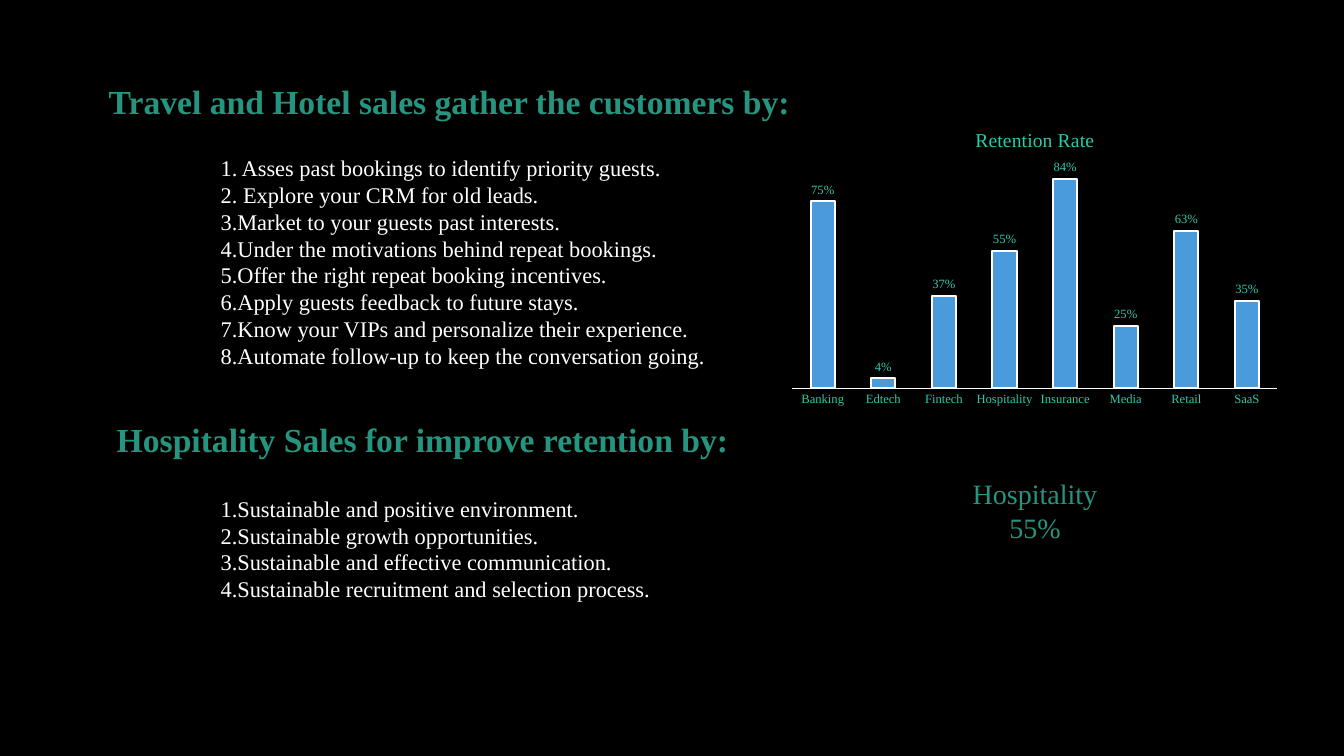
from dataclasses import dataclass

from lxml import etree
from pptx import Presentation
from pptx import util as u
from pptx.chart.data import CategoryChartData
from pptx.dml.color import RGBColor
from pptx.enum import chart as ch
from pptx.enum import text as tx
from pptx.oxml.ns import qn

FONT = "Times New Roman"
COLORS = {
    "background": "000000",
    "body": "FFFFFF",
    "heading": "26957F",
    "chart_text": "32C7A9",
    "bar": "4A9BDC",
}
SLIDE_W, SLIDE_H = u.Inches(13.33), u.Inches(7.5)


@dataclass(frozen=True)
class Area:
    """Columns and rows on a grid of 100 by 100 over the slide."""
    col: float
    row: float
    cols: float
    rows: float

    def emu(self) -> tuple[int, ...]:
        return tuple(int(share * side / 100) for share, side in (
            (self.col, SLIDE_W), (self.row, SLIDE_H),
            (self.cols, SLIDE_W), (self.rows, SLIDE_H)))


@dataclass(frozen=True)
class TextBlock:
    area: Area
    lines: tuple[str, ...]
    size: int
    color: str
    bold: bool = False
    align: tx.PP_ALIGN = tx.PP_ALIGN.LEFT


BLOCKS = (
    TextBlock(Area(15.68, 19.73, 40.4, 30.13), (
        "1. Asses past bookings to identify priority guests.",
        "2. Explore your CRM for old leads.",
        "3.Market to your guests past interests.",
        "4.Under the motivations behind repeat bookings.",
        "5.Offer the right repeat booking incentives.",
        "6.Apply guests feedback to future stays.",
        "7.Know your VIPs and personalize their experience.",
        "8.Automate follow-up to keep the conversation going.",
    ), 16, "body"),
    TextBlock(Area(7.35, 10, 69.6, 6.67),
              ("Travel and Hotel sales gather the customers by:",),
              24, "heading", bold=True),
    TextBlock(Area(7.95, 54.8, 49.5, 6.67),
              ("Hospitality Sales for improve retention by:",),
              24, "heading", bold=True),
    TextBlock(Area(15.68, 64.8, 40.4, 15.73), (
        "1.Sustainable and positive environment.",
        "2.Sustainable growth opportunities.",
        "3.Sustainable and effective communication.",
        "4.Sustainable recruitment and selection process.",
    ), 16, "body"),
    TextBlock(Area(71.2, 62.4, 11.63, 10.27), ("Hospitality", "55%"),
              20, "heading", align=tx.PP_ALIGN.CENTER),
)

CHART_AREA = Area(58.21, 14.93, 37.58, 39.6)
PLOT_LAYOUT = {"x": 0.02, "y": 0.17, "w": 0.96, "h": 0.75}
RETENTION = {
    "Banking": 0.75, "Edtech": 0.04, "Fintech": 0.37, "Hospitality": 0.55,
    "Insurance": 0.84, "Media": 0.25, "Retail": 0.63, "SaaS": 0.35,
}


def rgb(name: str) -> RGBColor:
    return RGBColor.from_string(COLORS[name])


def style_font(font, *, size: int, color: str, bold: bool = False) -> None:
    font.name, font.size, font.bold = FONT, u.Pt(size), bold
    font.color.rgb = rgb(color)


def write(frame, lines: tuple[str, ...], *, size: int, color: str,
          bold: bool = False, align: tx.PP_ALIGN | None = None) -> None:
    for index, line in enumerate(lines):
        paragraph = frame.paragraphs[0] if index == 0 else frame.add_paragraph()
        paragraph.alignment = align
        run = paragraph.add_run()
        run.text = line
        style_font(run.font, size=size, color=color, bold=bold)


def add_block(slide, block: TextBlock) -> None:
    frame = slide.shapes.add_textbox(*block.area.emu()).text_frame
    frame.word_wrap = True
    frame.auto_size = tx.MSO_AUTO_SIZE.SHAPE_TO_FIT_TEXT
    write(frame, block.lines, size=block.size, color=block.color,
          bold=block.bold, align=block.align)


def fix_plot_layout(chart) -> None:
    """Pin the inner plot area to PLOT_LAYOUT, in shares of the chart."""
    plot_area = chart.plots[0]._element.getparent()
    for old in plot_area.findall(qn("c:layout")):
        plot_area.remove(old)
    layout = etree.Element(qn("c:layout"))
    manual = etree.SubElement(layout, qn("c:manualLayout"))
    settings = {"layoutTarget": "inner", "xMode": "edge", "yMode": "edge",
                **PLOT_LAYOUT}
    for tag, value in settings.items():
        etree.SubElement(manual, qn(f"c:{tag}")).set("val", str(value))
    plot_area.insert(0, layout)


def add_retention_chart(slide) -> None:
    data = CategoryChartData(number_format="0%")
    data.categories = list(RETENTION)
    data.add_series("Series 1", list(RETENTION.values()))
    chart = slide.shapes.add_chart(ch.XL_CHART_TYPE.COLUMN_CLUSTERED,
                                   *CHART_AREA.emu(), data).chart
    style_font(chart.font, size=10, color="chart_text")
    chart.has_legend = False
    chart.has_title = True
    write(chart.chart_title.text_frame, ("Retention Rate",),
          size=14, color="chart_text")
    chart.chart_title.include_in_layout = False

    categories = chart.category_axis
    categories.major_tick_mark = ch.XL_TICK_MARK.NONE
    categories.format.line.color.rgb = rgb("body")
    categories.format.line.width = u.Pt(0.75)
    style_font(categories.tick_labels.font, size=9, color="chart_text")

    rates = chart.value_axis
    rates.visible = False
    rates.has_major_gridlines = False
    rates.minimum_scale, rates.maximum_scale = 0, 0.9

    plot = chart.plots[0]
    plot.gap_width, plot.overlap, plot.vary_by_categories = 150, -25, False
    plot.has_data_labels = True
    labels = plot.data_labels
    labels.show_value = True
    labels.number_format, labels.number_format_is_linked = "0%", False
    labels.position = ch.XL_LABEL_POSITION.OUTSIDE_END
    style_font(labels.font, size=9, color="chart_text")

    bars = plot.series[0].format
    bars.fill.solid()
    bars.fill.fore_color.rgb = rgb("bar")
    bars.line.color.rgb = rgb("body")
    bars.line.width = u.Pt(1.5)
    fix_plot_layout(chart)


def main() -> None:
    deck = Presentation()
    deck.slide_width, deck.slide_height = SLIDE_W, SLIDE_H
    slide = deck.slides.add_slide(deck.slide_layouts[6])
    slide.background.fill.solid()
    slide.background.fill.fore_color.rgb = rgb("background")
    for block in BLOCKS:
        add_block(slide, block)
    add_retention_chart(slide)
    deck.save("out.pptx")


if __name__ == "__main__":
    main()
